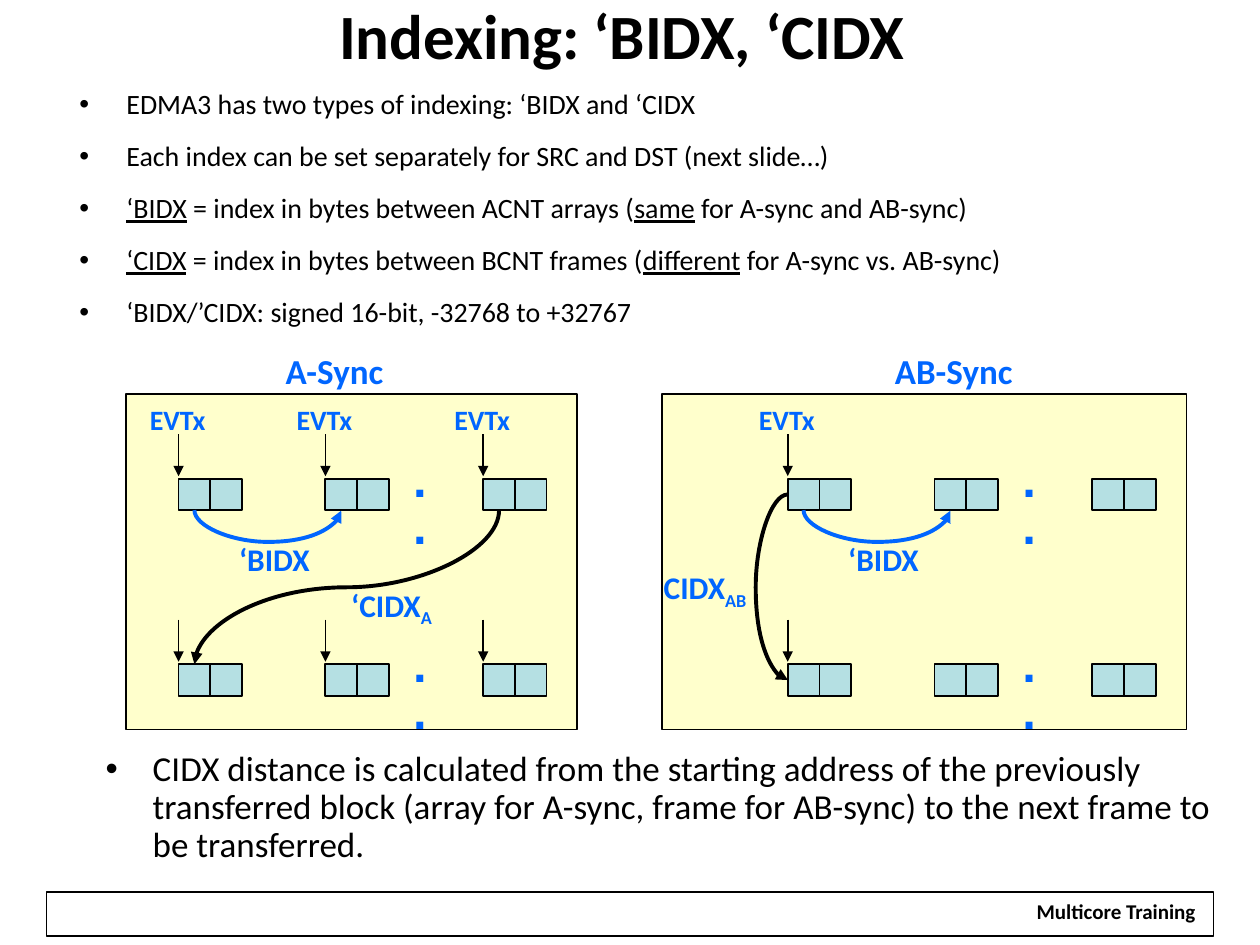
from pptx import Presentation
from pptx.dml.color import RGBColor
from pptx.enum.shapes import MSO_CONNECTOR, MSO_SHAPE
from pptx.enum.text import MSO_ANCHOR, PP_ALIGN
from pptx.oxml.ns import qn
from pptx.util import Cm, Pt
from lxml import etree

RECTANGLE = MSO_SHAPE.RECTANGLE
STRAIGHT, CURVE = MSO_CONNECTOR.STRAIGHT, MSO_CONNECTOR.CURVE
CENTER, LEFT = PP_ALIGN.CENTER, PP_ALIGN.LEFT
MIDDLE, TOP = MSO_ANCHOR.MIDDLE, MSO_ANCHOR.TOP

THEME = {
    "black": RGBColor(0, 0, 0), "white": RGBColor(255, 255, 255),
    "blue": RGBColor(0, 0x66, 0xFF), "panel": RGBColor(255, 255, 0xCC),
    "cell": RGBColor(0xB5, 0xE0, 0xE3),
    "font": "Calibri", "dots_font": "Arial",
    "title": 36, "bullet": 16, "note": 20, "heading": 20,
    "event": 16, "index": 18, "dots": 28, "footer": 12,
}

TITLE = "Indexing: ‘BIDX, ‘CIDX"
BULLETS = [
    [("EDMA3 has two types of indexing: ‘BIDX and ‘CIDX", "")],
    [("Each index can be set separately for SRC and DST (next slide…)", "")],
    [("‘BIDX", "underline"), (" = index in bytes between ACNT arrays (", ""),
     ("same", "underline"), (" for A-sync and AB-sync)", "")],
    [("‘CIDX", "underline"), (" = index in bytes between BCNT frames (", ""),
     ("different", "underline"), (" for A-sync vs. AB-sync)", "")],
    [("‘BIDX/’CIDX: signed 16-bit, -32768 to +32767", "")],
]
NOTE = [[("CIDX distance is calculated from the starting address of the previously\v"
          "transferred block (array for A-sync, frame for AB-sync) to the next frame to\v"
          "be transferred.", "")]]
FOOTER = "Multicore Training"

PANELS = [
    {"heading": "A-Sync", "heading_width": 2.51, "left": 2.54, "width": 9.1,
     "first_cell": 3.6, "events": 3,
     "frame_index": [("‘CIDX", ""), ("A", "subscript")],
     "frame_label": (6.83, 11.76, 2.16, 0.89)},
    {"heading": "AB-Sync", "heading_width": 2.92, "left": 13.34, "width": 10.58,
     "first_cell": 15.88, "events": 1,
     "frame_index": [("CIDX", ""), ("AB", "subscript")],
     "frame_label": (13.13, 11.4, 2.26, 0.86)},
]
ARRAY_OFFSETS = (0, 2.96, 6.14)
ROWS = (9.65, 13.39)
CELL = 0.64
THIN = 0.01


def add_text(shapes, box, paragraphs, size, color="black", bold=False, font="font",
             align=LEFT, anchor=TOP, spacing=0.8, wrap=False, bullet=False):
    textbox = shapes.add_textbox(*map(Cm, box))
    frame = textbox.text_frame
    frame.word_wrap = wrap
    frame.vertical_anchor = anchor
    for number, runs in enumerate(paragraphs):
        paragraph = frame.add_paragraph() if number else frame.paragraphs[0]
        if bullet:
            properties = paragraph._p.get_or_add_pPr()
            properties.set("marL", str(Cm(0.95)))
            properties.set("indent", str(-Cm(0.95)))
            bullet_font = etree.SubElement(properties, qn("a:buFont"))
            bullet_font.set("typeface", "Arial")
            etree.SubElement(properties, qn("a:buChar")).set("char", "•")
        if number:
            paragraph.space_before = Pt(12.4)
        paragraph.alignment = align
        paragraph.line_spacing = spacing
        paragraph.font.name = THEME[font]
        paragraph.font.size = Pt(THEME[size])
        paragraph.font.bold = bold
        paragraph.font.color.rgb = THEME[color]
        for part, (text, style) in enumerate(runs):
            if "\v" in text:
                for line_number, line in enumerate(text.split("\v")):
                    if line_number:
                        paragraph.add_line_break()
                    paragraph.add_run().text = line
                continue
            run = paragraph.add_run()
            run.text = text
            if style == "underline":
                run.font.underline = True
            elif style == "subscript":
                run._r.get_or_add_rPr().set("baseline", "-25000")
    return textbox


def add_rectangle(shapes, box, fill=None, line_width=1):
    shape = shapes.add_shape(RECTANGLE, *map(Cm, box))
    shape.shadow.inherit = False
    if fill:
        shape.fill.solid()
        shape.fill.fore_color.rgb = THEME[fill]
    else:
        shape.fill.background()
    shape.line.color.rgb = THEME["black"]
    shape.line.width = Pt(line_width)


def add_arrow(shapes, kind, start, end, color="black", width=1):
    connector = shapes.add_connector(kind, *map(Cm, (*start, *end)))
    connector.line.color.rgb = THEME[color]
    connector.line.width = Pt(width)
    line = connector.line._get_or_add_ln()
    etree.SubElement(line, qn("a:tailEnd")).set("type", "triangle")
    etree.SubElement(connector._element.spPr, qn("a:effectLst"))
    return connector


def add_curve(shapes, start, end, color, bend, rotation, flips=()):
    across, down = abs(end[0] - start[0]), abs(end[1] - start[1])
    if rotation != 180:
        across, down = down, across
    across = max(across, THIN)
    left = (start[0] + end[0] - across) / 2
    top = (start[1] + end[1] - down) / 2
    connector = add_arrow(shapes, CURVE, (left, top), (left + across, top + down), color, 2.25)
    properties = connector._element.spPr
    transform = properties.find(qn("a:xfrm"))
    transform.set("rot", str(rotation * 60000))
    for flip in flips:
        transform.set(flip, "1")
    guide = etree.SubElement(properties.find(qn("a:prstGeom")).find(qn("a:avLst")), qn("a:gd"))
    guide.set("name", "adj1")
    guide.set("fmla", f"val {round(bend / across * 100000)}")


def add_panel(slide, panel):
    shapes = slide.shapes.add_group_shape().shapes
    first = panel["first_cell"]
    arrays = [first + offset for offset in ARRAY_OFFSETS]
    upper, lower = ROWS
    bottom = upper + CELL
    add_rectangle(shapes, (panel["left"], 7.94, panel["width"], 6.77), "panel")
    for row in ROWS:
        for left in arrays:
            for column in range(2):
                add_rectangle(shapes, (left + column * CELL, row, CELL, CELL), "cell")
        add_text(shapes, (first + 4.48, row - 0.51, 1.32, 1.19), [[(". .", "")]],
                 "dots", "blue", True, "dots_font")
        for left in arrays[:panel["events"]]:
            add_arrow(shapes, STRAIGHT, (left, row - 0.9), (left, row - 0.05))
    for left in arrays[:panel["events"]]:
        add_text(shapes, (left - 0.83, 8.13, 1.68, 0.79), [[("EVTx", "")]], "event", "blue", True)

    half = CELL / 2
    add_curve(shapes, (first + half, bottom), (arrays[1] + half, bottom),
              "blue", CELL, 270, ("flipH",))
    if panel["events"] > 1:
        add_curve(shapes, (arrays[-1] + half, bottom), (first + half, lower),
                  "black", (lower - bottom) / 2, 90)
    else:
        add_curve(shapes, (first, upper + half), (first, lower + half),
                  "black", -CELL, 180, ("flipH", "flipV"))
    labels = [
        ((first + 0.97, 10.9, 1.93, 0.89), [("‘BIDX", "")], "index"),
        (panel["frame_label"], panel["frame_index"], "index"),
        ((first + 1.91, 7.09, panel["heading_width"], 0.94), [(panel["heading"], "")], "heading"),
    ]
    for box, runs, size in labels:
        add_text(shapes, box, [runs], size, "blue", True)


def main():
    presentation = Presentation()
    presentation.slide_width, presentation.slide_height = Cm(25.4), Cm(19.05)
    slide = presentation.slides.add_slide(presentation.slide_layouts[6])
    shapes = slide.shapes
    add_rectangle(shapes, (0.94, 17.98, 23.52, 0.89), line_width=0.75)
    footer = add_text(shapes, (20.62, 18.08, 3.76, 0.66), [[(FOOTER, "")]], "footer",
                      bold=True, align=CENTER)
    footer.fill.solid()
    footer.fill.fore_color.rgb = THEME["white"]
    title = add_text(shapes, (0, 0.15, 25.4, 1.7), [[(TITLE, "")]], "title",
                     bold=True, align=CENTER, spacing=0.75, wrap=True)
    title.text_frame.margin_left = title.text_frame.margin_top = Cm(0.13)
    title.text_frame.margin_right = Cm(0.45)
    add_text(shapes, (1.35, 1.47, 19.33, 5.51), BULLETS, "bullet",
             anchor=MIDDLE, spacing=0.9, wrap=True, bullet=True)
    add_text(shapes, (1.88, 15.01, 23.01, 2.57), NOTE, "note",
             anchor=MIDDLE, spacing=0.9, wrap=True, bullet=True)
    for panel in PANELS:
        add_panel(slide, panel)
    presentation.save("out.pptx")


if __name__ == "__main__":
    main()
